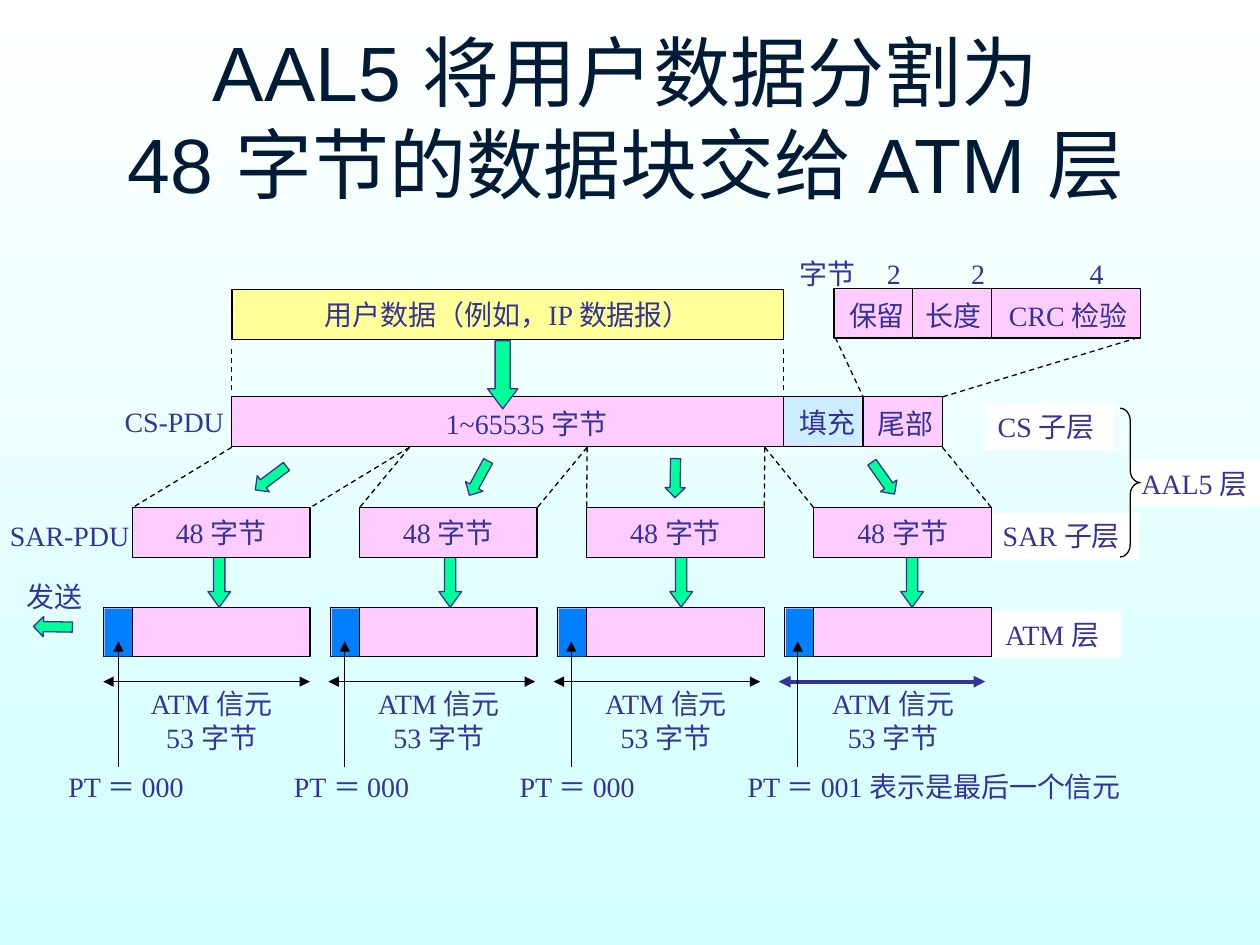
"""Build the slide showing how AAL5 splits user data into 48-byte blocks for ATM."""
from pptx import Presentation
from pptx.dml.color import RGBColor
from pptx.enum.dml import MSO_LINE
from pptx.enum.shapes import MSO_CONNECTOR, MSO_SHAPE
from pptx.enum.text import MSO_ANCHOR, MSO_AUTO_SIZE, PP_ALIGN
from pptx.oxml.ns import qn
from pptx.util import Inches, Pt
from lxml import etree

RECT, DOWN, BRACE = MSO_SHAPE.RECTANGLE, MSO_SHAPE.DOWN_ARROW, MSO_SHAPE.RIGHT_BRACE
STRAIGHT, DASH = MSO_CONNECTOR.STRAIGHT, MSO_LINE.DASH
LEFT, CENTER = PP_ALIGN.LEFT, PP_ALIGN.CENTER
TOP, MIDDLE = MSO_ANCHOR.TOP, MSO_ANCHOR.MIDDLE
NO_FIT = MSO_AUTO_SIZE.NONE
C = {"ink": "333399", "title": "001B36", "black": "000000", "white": "FFFFFF",
     "pink": "FFCCFF", "yellow": "FFFF99", "pale": "CCECFF", "blue": "0080FF",
     "green": "00FF99", "sky": "D2FFFF"}
C = {name: RGBColor.from_string(value) for name, value in C.items()}

prs = Presentation()
prs.slide_width, prs.slide_height = Inches(10), Inches(7.5)
CELL = prs.slide_width / 100
s = prs.slides.add_slide(prs.slide_layouts[5])
bg = s.background.fill
bg.gradient()
bg.gradient_angle = 270
for stop, name, pos in zip(bg.gradient_stops, ("white", "sky"), (0, 1)):
    stop.color.rgb, stop.position = C[name], pos


def put(text, x, y, w, h, kind=None, fill=None, edge=None, align=LEFT,
        anchor=TOP, rot=0, adj=(), tabs=()):
    box = [round(v * CELL) for v in (x, y, w, h)]
    if kind is None:
        sp = s.shapes.add_textbox(*box)
    else:
        sp = s.shapes.add_shape(kind, *box)
        sp.shadow.inherit = False
        sp.rotation = rot
        for i, value in enumerate(adj):
            sp.adjustments[i] = value
        if fill:
            sp.fill.solid()
            sp.fill.fore_color.rgb = C[fill]
        else:
            sp.fill.background()
        if edge:
            sp.line.color.rgb, sp.line.width = C[edge], Pt(0.75)
        else:
            sp.line.fill.background()
    if not text:
        return
    tf = sp.text_frame
    tf.word_wrap, tf.vertical_anchor, tf.text = bool(tabs), anchor, text
    for p in tf.paragraphs:
        if tabs:
            tab_list = etree.SubElement(p._p.get_or_add_pPr(), qn("a:tabLst"))
            for tab in tabs:
                etree.SubElement(tab_list, qn("a:tab"), pos=str(round(tab * CELL)), algn="l")
        p.alignment = align
        for r in p.runs:
            r.font.size, r.font.name, r.font.color.rgb = Pt(16), "Times New Roman", C["ink"]


def line(x1, y1, x2, y2, color="black", width=0.75, dash=None, ends=()):
    cx = s.shapes.add_connector(STRAIGHT, *(round(v * CELL) for v in (x1, y1, x2, y2)))
    cx.line.color.rgb, cx.line.width = C[color], Pt(width)
    if dash:
        cx.line.dash_style = dash
    for end in ends:
        etree.SubElement(cx.line._get_or_add_ln(), qn(f"a:{end}"), type="triangle")
    etree.SubElement(cx._element.spPr, qn("a:effectLst"))


title = s.shapes.title
title.left, title.top, title.width, title.height = (
    round(v * CELL) for v in (4.7, 3, 90, 12.5))
tf = title.text_frame
tf.text = "AAL5 将用户数据分割为\v48 字节的数据块交给 ATM 层"
tf.vertical_anchor, tf.auto_size, tf.word_wrap = MIDDLE, NO_FIT, True
p = tf.paragraphs[0]
p.alignment = CENTER
for r in p.runs:
    r.font.size, r.font.name, r.font.color.rgb = Pt(44), "Arial", C["title"]

ROW_H, LABEL_H = 3.93, 3.7
CS_X, CS_Y, SAR_Y, ATM_Y = 18.4, 31.5, 40.3, 48.2
HEADER_Y = 22.9
PART, PITCH, HEAD = 14.1, 18.03, 2.3
USER_END, TAIL_X, CS_END = 62.2, 68.5, 74.8

for text, x, y, w in [("AAL5 层", 89.6, 36.5, 10.9), ("CS 子层", 78.2, 32, 10.2),
                      ("SAR 子层", 78.6, 40.7, 11.8), ("ATM 层", 78.8, 48.5, 10.2)]:
    put(text, x, y, w, LABEL_H, kind=RECT, fill="white")

put("", CS_X, CS_Y, CS_END - CS_X, ROW_H, kind=RECT, fill="pink", edge="black")
put("", USER_END, CS_Y + 0.1, 6.2, 3.7, kind=RECT, fill="pale")
put("", 66.2, HEADER_Y, 24.3, ROW_H, kind=RECT, fill="pink", edge="black")
for x, y in [(USER_END, CS_Y), (TAIL_X, CS_Y), (72.4, HEADER_Y), (78.7, HEADER_Y)]:
    line(x, y, x, y + ROW_H)
put("用户数据（例如，IP 数据报）", CS_X, 23, USER_END - CS_X, ROW_H, kind=RECT,
    fill="yellow", edge="black", align=CENTER, anchor=MIDDLE)
put("", 38.7, 27.05, 2.4, 5.4, kind=DOWN, fill="green", edge="ink", adj=(0.5, 0.667))

for text, x, y, w in [("SAR-PDU", -0.2, 40.7, 11.5), ("CS-PDU", 8.9, 31.6, 9.9),
                      ("发送", 1.1, 45.5, 6.4), ("1~65535 字节", 34.4, 31.8, 18),
                      ("填充", 62.5, 31.7, 6.4), ("尾部", 68.7, 31.8, 6.4),
                      ("保留", 66.4, 23.2, 6.4), ("长度", 72.5, 23.2, 6.4),
                      ("CRC 检验", 79.1, 23.2, 14)]:
    put(text, x, y, w, LABEL_H)
put("字节\t2\t2\t4", 62.5, 19.9, 28, LABEL_H, tabs=(6.9, 13.6, 23))

for x in (CS_X, USER_END):
    line(x, 27.7, x, 31.2, dash=DASH)
line(66.3, 26.8, TAIL_X, CS_Y, dash=DASH)
line(90.3, 26.8, CS_END, CS_Y, dash=DASH)

put("", 88.9, 32.4, 1.6, 11.8, kind=BRACE, edge="black", adj=(0.61, 0.5))
put("", 3.4, 48.2, 1.6, 3.1, kind=DOWN, fill="green", edge="ink", rot=91)

slants = [(20.7, 53.1), (37.2, 28.7), (52.8, 1), (69.3, 324.7)]
for i, (slant_x, angle) in enumerate(slants):
    last = i == len(slants) - 1
    cell_x = 8.2 + PITCH * i
    sar_x = cell_x + HEAD
    for edge_x in (0, PART):
        line(CS_X + PART * i + edge_x, 35.5, sar_x + edge_x, SAR_Y, dash=DASH)
    put("", slant_x, 36.4, 1.6, 3.1, kind=DOWN, fill="green", edge="ink", rot=angle)
    put("", cell_x, ATM_Y, PART + HEAD, ROW_H, kind=RECT, fill="pink", edge="black")
    put("", cell_x + 0.1, ATM_Y + 0.1, HEAD - 0.1, 3.8, kind=RECT, fill="blue")
    line(sar_x, ATM_Y, sar_x, ATM_Y + ROW_H)
    put("", 16.5 + 18.33 * i, 43.2, 1.8, 5, kind=DOWN, fill="green", edge="ink",
        adj=(0.5, 0.692))
    put("48 字节", sar_x, SAR_Y, PART, ROW_H, kind=RECT, fill="pink", edge="black",
        align=CENTER, anchor=MIDDLE)
    span_x = 8.2 + 17.87 * i
    line(span_x, 54.1, span_x + 16.4, 54.1, color="ink" if last else "black",
         width=2.25 if last else 0.75, ends=("headEnd", "tailEnd"))
    put("ATM 信元\n53 字节", 10.6 + PITCH * i, 54, 12.4, 6.4, align=CENTER)
    pt_x = 9.4 + 17.97 * i
    line(pt_x, 60.9, pt_x, 50.9, ends=("tailEnd",))
    put("PT ＝ 001 表示是最后一个信元" if last else "PT ＝ 000",
        57.5 if last else 3.9 + 17.9 * i, 60.6, 33.3 if last else 12.2, LABEL_H,
        align=CENTER)

prs.save("out.pptx")
